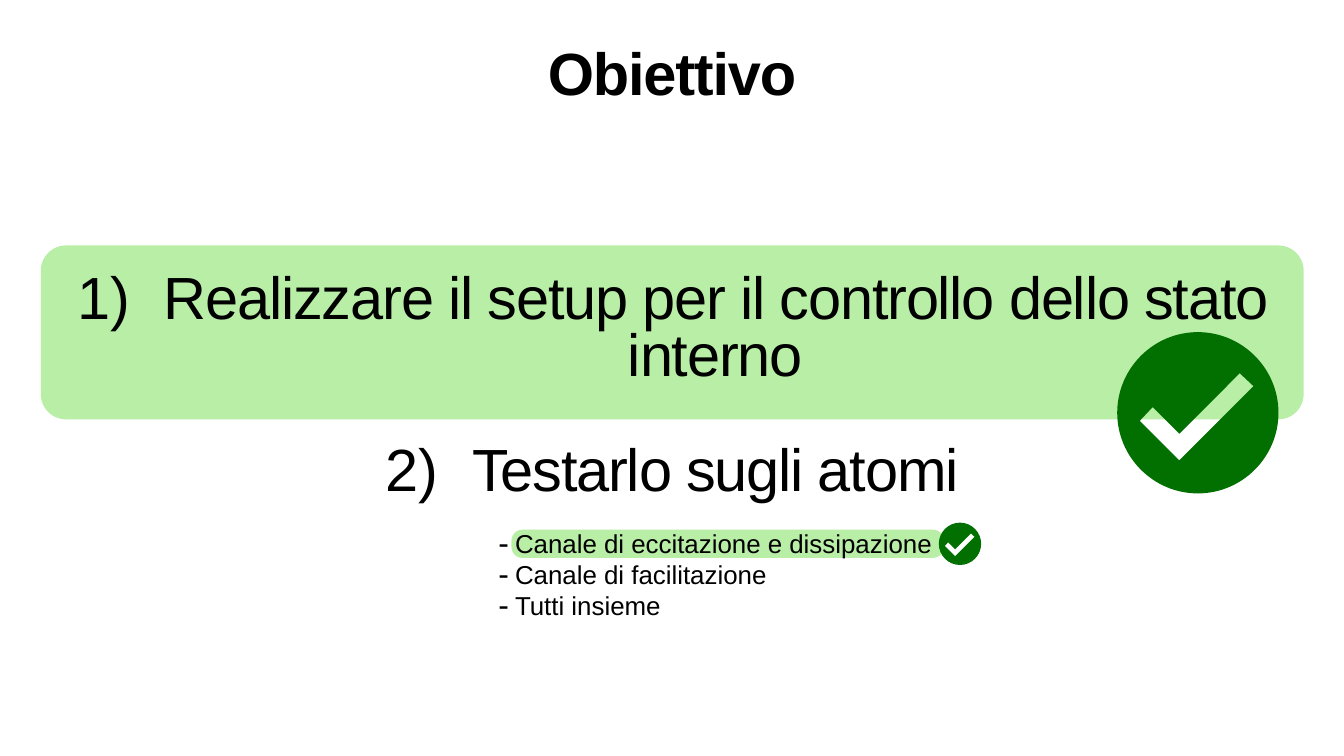
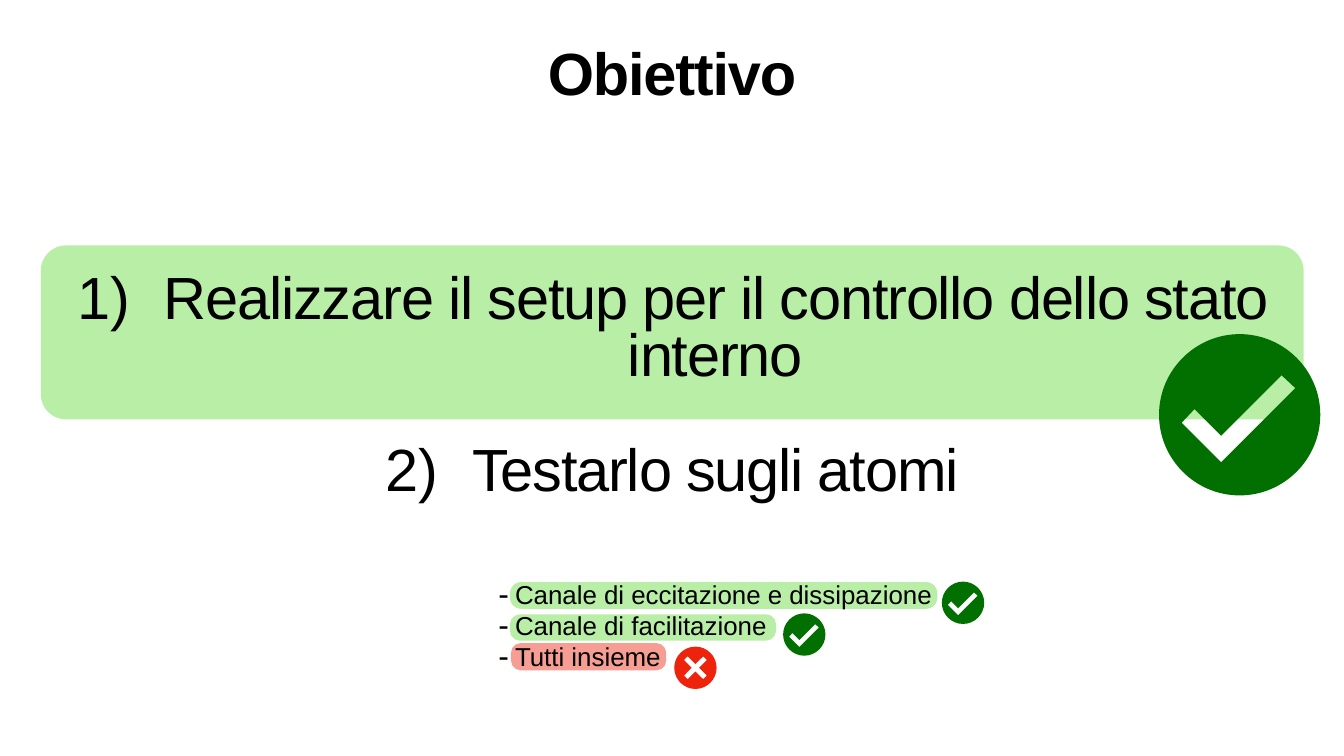
from dataclasses import dataclass

from lxml import etree
from pptx import Presentation
from pptx.dml.color import RGBColor
from pptx.enum import shapes, text
from pptx.oxml.ns import qn
from pptx.util import Inches, Pt

FONT = "Arial"
BLACK = RGBColor(0x00, 0x00, 0x00)
GREEN = RGBColor(0x60, 0xD9, 0x37)
DARK_GREEN = RGBColor(0x02, 0x70, 0x01)
RED = RGBColor(0xEE, 0x23, 0x0C)
HIGHLIGHT_ALPHA = 44

HEADING = "Obiettivo"
GOALS = ("Realizzare il setup per il controllo dello stato interno", "Testarlo sugli atomi")
CHANNELS = ("Canale di eccitazione e dissipazione", "Canale di facilitazione", "Tutti insieme")

QUARTER_TURNS = ((1, 0), (0, 1), (-1, 0), (0, -1))


def turn_around(points: tuple[tuple[float, float], ...]) -> list[tuple[float, float]]:
    return [(x * c - y * s, x * s + y * c) for c, s in QUARTER_TURNS for x, y in points]


DISC_CURVES = turn_around(((1, 0.55), (0.55, 1), (0, 1)))
TICK = [(0.52, -0.49), (0.69, -0.33), (-0.23, 0.59), (-0.72, 0.1), (-0.56, -0.07), (-0.23, 0.26)]
CROSS = turn_around(((-0.37, -0.54), (0, -0.18), (0.37, -0.54)))


@dataclass(frozen=True)
class Highlight:
    left: float
    top: float
    width: float
    height: float
    rounding: float
    color: RGBColor = GREEN


@dataclass(frozen=True)
class Badge:
    x: float
    y: float
    radius: float
    done: bool = True


@dataclass(frozen=True)
class Progress:
    channels_top: float
    highlights: tuple[Highlight, ...]
    badges: tuple[Badge, ...]


FIRST_GOAL = Highlight(0.81, 4.87, 25.06, 3.45, 0.145)

STAGES = (
    Progress(
        10.43,
        (FIRST_GOAL, Highlight(10.15, 10.51, 8.58, 0.56, 0.384)),
        (Badge(23.77, 8.19, 1.6), Badge(19.05, 10.79, 0.42)),
    ),
    Progress(
        11.44,
        (
            Highlight(10.12, 11.55, 8.48, 0.53, 0.419),
            Highlight(10.12, 12.19, 5.28, 0.52, 0.371),
            Highlight(10.14, 12.76, 3.08, 0.54, 0.355, RED),
            FIRST_GOAL,
        ),
        (
            Badge(24.6, 8.23, 1.6),
            Badge(19.11, 11.96, 0.42),
            Badge(15.96, 12.59, 0.42),
            Badge(13.8, 13.25, 0.42, done=False),
        ),
    ),
)


def draw_highlight(slide, highlight: Highlight) -> None:
    area = (highlight.left, highlight.top, highlight.width, highlight.height)
    band = slide.shapes.add_shape(shapes.MSO_SHAPE.ROUNDED_RECTANGLE, *map(Inches, area))
    band.adjustments[0] = highlight.rounding
    band.shadow.inherit = False
    band.line.fill.background()
    band.fill.solid()
    band.fill.fore_color.rgb = highlight.color
    color = band._element.spPr.find(".//" + qn("a:srgbClr"))
    etree.SubElement(color, qn("a:alpha"), val=str(HIGHLIGHT_ALPHA * 1000))


def curve_segments(sign, count: int) -> None:
    segments = list(sign._element.iter(qn("a:lnTo")))[:count]
    for first in range(0, count, 3):
        curve = etree.Element(qn("a:cubicBezTo"))
        segments[first].addprevious(curve)
        for segment in segments[first : first + 3]:
            curve.append(segment[0])
            segment.getparent().remove(segment)


def draw_badge(slide, badge: Badge) -> None:
    def place(outline):
        return [
            (Inches(badge.x + badge.radius * x), Inches(badge.y + badge.radius * y))
            for x, y in outline
        ]

    disc, mark = place(DISC_CURVES), place(TICK if badge.done else CROSS)
    builder = slide.shapes.build_freeform(*disc[-1])
    builder.add_line_segments(disc)
    builder.move_to(*mark[0])
    builder.add_line_segments(mark[1:])
    sign = builder.convert_to_shape()
    curve_segments(sign, len(disc))
    sign.shadow.inherit = False
    sign.line.fill.background()
    sign.fill.solid()
    sign.fill.fore_color.rgb = DARK_GREEN if badge.done else RED


def place_text(holder, left: float, top: float, width: float, height: float):
    holder.left, holder.top = Inches(left), Inches(top)
    holder.width, holder.height = Inches(width), Inches(height)
    holder._element.getparent().append(holder._element)
    frame = holder.text_frame
    frame.margin_left = frame.margin_right = Inches(0.06)
    frame.margin_top = frame.margin_bottom = Inches(0.06)
    frame.vertical_anchor = text.MSO_ANCHOR.MIDDLE
    frame.auto_size = text.MSO_AUTO_SIZE.NONE
    frame.word_wrap = True
    return frame


def add_run(paragraph, words: str, size: float, bold: bool = False, spacing: float = 0) -> None:
    run = paragraph.add_run()
    run.text = words
    run.font.name = FONT
    run.font.size = Pt(size)
    run.font.bold = bold
    run.font.color.rgb = BLACK
    if spacing:
        run._r.get_or_add_rPr().set("spc", str(round(spacing * 100)))


def add_display_line(paragraph, words: str, bold: bool = False) -> None:
    paragraph.alignment = text.PP_ALIGN.CENTER
    paragraph.line_spacing = 0.8
    add_run(paragraph, words, 85, bold, -1.7)


def add_items(frame, items: tuple[str, ...], indent: float, bullets: dict[str, dict[str, str]]):
    for index, item in enumerate(items):
        paragraph = frame.paragraphs[0] if index == 0 else frame.add_paragraph()
        properties = paragraph._p.get_or_add_pPr()
        properties.set("marL", str(Inches(indent)))
        properties.set("indent", str(-Inches(indent)))
        for tag, attributes in bullets.items():
            etree.SubElement(properties, qn(tag), attributes)
        paragraph.space_before = Pt(0)
        yield paragraph, item


def build_slide(deck, stage: Progress) -> None:
    slide = deck.slides.add_slide(deck.slide_layouts.get_by_name("Two Content"))
    heading, goals, channels = slide.placeholders
    for highlight in stage.highlights:
        draw_highlight(slide, highlight)

    goal_frame = place_text(goals, 1.32, 3.2, 24.03, 9.01)
    numbering = {"a:buFont": {"typeface": FONT}, "a:buAutoNum": {"type": "arabicParenR"}}
    for paragraph, goal in add_items(goal_frame, GOALS, 1.72, numbering):
        add_display_line(paragraph, goal)
    goal_frame.paragraphs[-1].space_before = Pt(83)

    heading_frame = place_text(heading, 1.32, 0.37, 24.03, 2.38)
    add_display_line(heading_frame.paragraphs[0], HEADING, bold=True)

    channel_frame = place_text(channels, 9.83, stage.channels_top, 8.77, 1.93)
    channel_frame.word_wrap = False
    channel_frame.auto_size = text.MSO_AUTO_SIZE.SHAPE_TO_FIT_TEXT
    dashes = {
        "a:buSzPct": {"val": "123000"},
        "a:buFont": {"typeface": FONT},
        "a:buChar": {"char": "-"},
    }
    for paragraph, channel in add_items(channel_frame, CHANNELS, 0.33, dashes):
        paragraph.alignment = text.PP_ALIGN.LEFT
        add_run(paragraph, channel, 37)

    for badge in stage.badges:
        draw_badge(slide, badge)


def main() -> None:
    deck = Presentation()
    deck.slide_width, deck.slide_height = Inches(26.67), Inches(15)
    for stage in STAGES:
        build_slide(deck, stage)
    deck.save("out.pptx")


if __name__ == "__main__":
    main()
